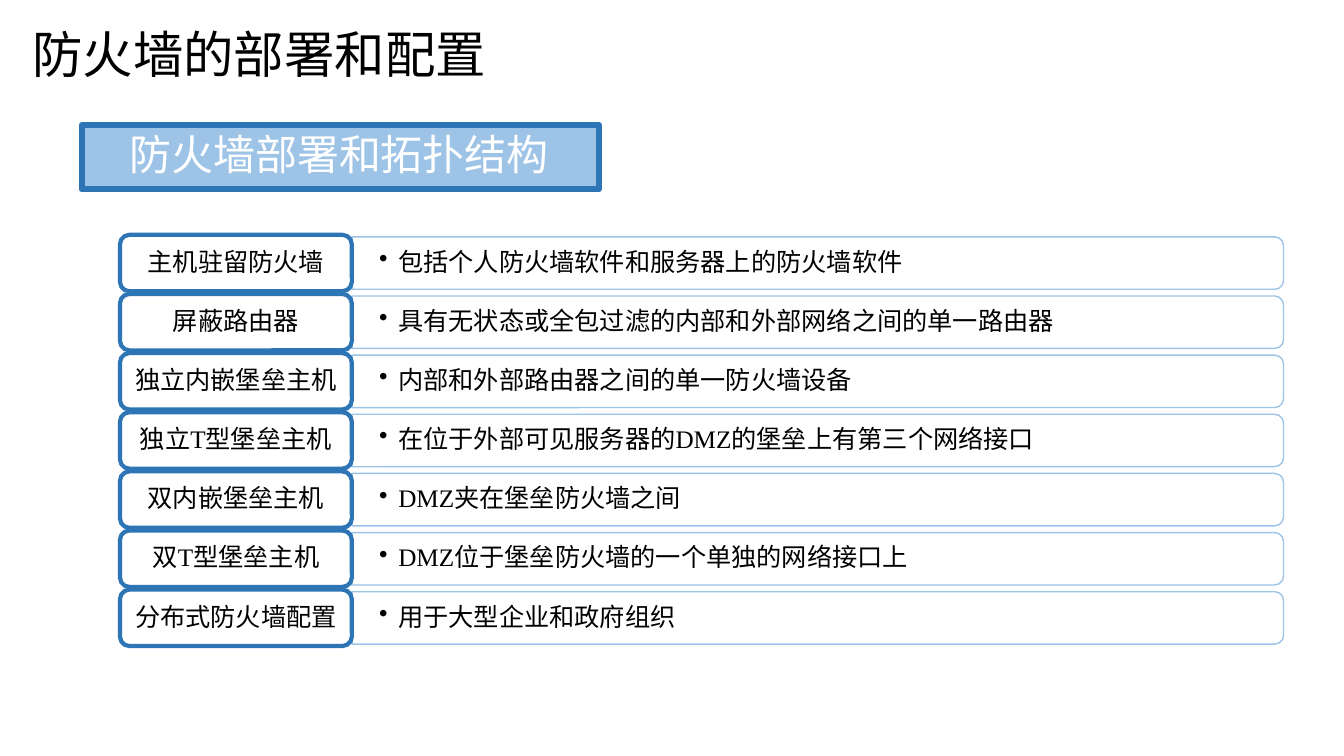
from dataclasses import dataclass

from lxml import etree
from pptx import Presentation
from pptx.dml.color import RGBColor
from pptx.enum.shapes import MSO_SHAPE
from pptx.enum.text import MSO_ANCHOR, PP_ALIGN
from pptx.oxml.ns import qn
from pptx.shapes.autoshape import Shape
from pptx.slide import Slide
from pptx.util import Inches, Pt

RECTANGLE = MSO_SHAPE.RECTANGLE
ROUNDED = MSO_SHAPE.ROUNDED_RECTANGLE
TWO_ROUNDED = MSO_SHAPE.ROUND_2_SAME_RECTANGLE
MIDDLE = MSO_ANCHOR.MIDDLE
LEFT, CENTER = PP_ALIGN.LEFT, PP_ALIGN.CENTER


@dataclass(frozen=True)
class Theme:
    text: RGBColor = RGBColor(0x00, 0x00, 0x00)
    white: RGBColor = RGBColor(0xFF, 0xFF, 0xFF)
    light_blue: RGBColor = RGBColor(0x9D, 0xC3, 0xE6)
    dark_blue: RGBColor = RGBColor(0x2E, 0x75, 0xB6)
    heading_font: str = "Noto Sans CJK SC"
    body_font: str = "Times New Roman"
    title_size: float = 36
    banner_size: float = 30
    body_size: float = 18


@dataclass(frozen=True)
class Frame:
    """A rectangle in inches."""
    left: float
    top: float
    width: float
    height: float


@dataclass(frozen=True)
class Deployment:
    label: str
    detail: str


THEME = Theme()
DEPLOYMENTS = [
    Deployment("主机驻留防火墙", "包括个人防火墙软件和服务器上的防火墙软件"),
    Deployment("屏蔽路由器", "具有无状态或全包过滤的内部和外部网络之间的单一路由器"),
    Deployment("独立内嵌堡垒主机", "内部和外部路由器之间的单一防火墙设备"),
    Deployment("独立T型堡垒主机", "在位于外部可见服务器的DMZ的堡垒上有第三个网络接口"),
    Deployment("双内嵌堡垒主机", "DMZ夹在堡垒防火墙之间"),
    Deployment("双T型堡垒主机", "DMZ位于堡垒防火墙的一个单独的网络接口上"),
    Deployment("分布式防火墙配置", "用于大型企业和政府组织"),
]
FIRST_TOP, LAST_TOP = 2.33, 5.85
ROW_PITCH = (LAST_TOP - FIRST_TOP) / (len(DEPLOYMENTS) - 1)
LABEL_LEFT, LABEL_WIDTH, LABEL_HEIGHT = 1.19, 2.3, 0.56
DETAIL_LEFT = LABEL_LEFT + LABEL_WIDTH
DETAIL_WIDTH, DETAIL_HEIGHT = 9.24, 0.52


def place(frame: Frame) -> tuple:
    return tuple(Inches(value) for value in
                 (frame.left, frame.top, frame.width, frame.height))


def write(box: Shape, text: str, size: float, font: str, color: RGBColor,
          inset: float, align: PP_ALIGN = LEFT, spacing: float = 0.9) -> None:
    text_frame = box.text_frame
    text_frame.text = text
    text_frame.word_wrap = True
    text_frame.vertical_anchor = MIDDLE
    text_frame.margin_left = text_frame.margin_right = Inches(inset)
    text_frame.margin_top = text_frame.margin_bottom = Inches(0.04)
    para = text_frame.paragraphs[0]
    para.alignment = align
    para.line_spacing = spacing
    span = para.runs[0]
    span.font.size = Pt(size)
    span.font.name = font
    span.font.color.rgb = color
    east_asian = etree.SubElement(span.font._element, qn("a:ea"))
    east_asian.set("typeface", THEME.heading_font)


def add_outline(page: Slide, kind: MSO_SHAPE, frame: Frame,
                color: RGBColor, weight: float) -> Shape:
    """Add an unfilled shape whose border has rounded joins."""
    box = page.shapes.add_shape(kind, *place(frame))
    box.shadow.inherit = False
    box.fill.background()
    box.line.color.rgb = color
    box.line.width = Pt(weight)
    etree.SubElement(box.line._get_or_add_ln(), qn("a:round"))
    return box


def add_bullet(box: Shape) -> None:
    properties = box.text_frame.paragraphs[0]._p.get_or_add_pPr()
    properties.set("marL", str(Inches(0.19)))
    properties.set("indent", str(Inches(-0.19)))
    etree.SubElement(properties, qn("a:buChar")).set("char", "•")


def add_title(page: Slide, text: str) -> None:
    box = page.shapes.add_textbox(*place(Frame(0.21, 0, 5.91, 1.06)))
    write(box, text, THEME.title_size, THEME.heading_font, THEME.text,
          inset=0.11, spacing=1.0)


def add_banner(page: Slide, text: str) -> None:
    box = add_outline(page, RECTANGLE, Frame(0.81, 1.24, 5.13, 0.64),
                      THEME.dark_blue, 4.33)
    box.fill.solid()
    box.fill.fore_color.rgb = THEME.light_blue
    write(box, text, THEME.banner_size, THEME.heading_font, THEME.white,
          inset=0.47)


def add_detail(page: Slide, text: str, middle: float) -> None:
    """Add the bar, turned so its rounded corners face right, and its text."""
    center = DETAIL_LEFT + DETAIL_WIDTH / 2
    upright = Frame(center - DETAIL_HEIGHT / 2, middle - DETAIL_WIDTH / 2,
                    DETAIL_HEIGHT, DETAIL_WIDTH)
    bar = add_outline(page, TWO_ROUNDED, upright, THEME.light_blue, 1)
    bar.rotation = 90
    box = page.shapes.add_textbox(
        *place(Frame(DETAIL_LEFT, middle - 0.235, 9.21, 0.47)))
    write(box, text, THEME.body_size, THEME.body_font, THEME.text, inset=0.27)
    add_bullet(box)


def add_label(page: Slide, text: str, top: float) -> None:
    box = add_outline(page, ROUNDED,
                      Frame(LABEL_LEFT, top, LABEL_WIDTH, LABEL_HEIGHT),
                      THEME.dark_blue, 3)
    write(box, text, THEME.body_size, THEME.body_font, THEME.text,
          inset=0.07, align=CENTER)


def main() -> None:
    deck = Presentation()
    deck.slide_width, deck.slide_height = Inches(13.33), Inches(7.5)
    page = deck.slides.add_slide(deck.slide_layouts[6])
    add_title(page, "防火墙的部署和配置")
    add_banner(page, "防火墙部署和拓扑结构")
    for row, deployment in enumerate(DEPLOYMENTS):
        top = FIRST_TOP + row * ROW_PITCH
        add_detail(page, deployment.detail, top + LABEL_HEIGHT / 2)
        add_label(page, deployment.label, top)
    deck.save("out.pptx")


if __name__ == "__main__":
    main()
